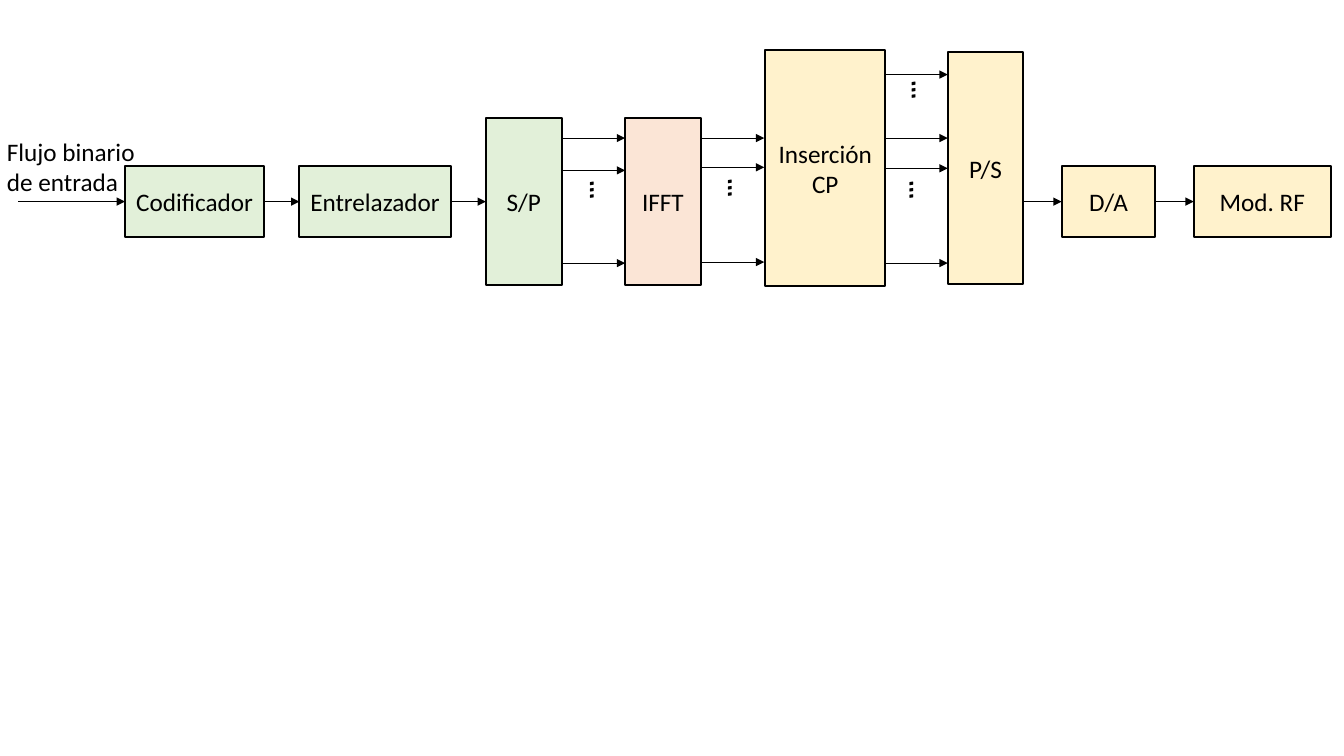
"""Draws the block diagram of an OFDM transmitter on one slide."""
from pptx import Presentation, util as u
from pptx.dml.color import RGBColor
from pptx.enum import dml, shapes, text
from pptx.oxml import parse_xml
from pptx.oxml.ns import nsdecls

COLORS = {"ink": "000000", "coding": "E2F0D9", "transform": "FBE5D6", "output": "FFF2CC"}
CELL = u.Inches(0.1)
AXIS, WIDE_AXIS = 20, 16.7
LEFT, RIGHT = 1, 3


def write(shape, words, size, bold=False):
    """Fill a shape with text in the diagram's font."""
    shape.text_frame.text = words
    for paragraph in shape.text_frame.paragraphs:
        for run in paragraph.runs:
            run.font.name, run.font.size, run.font.bold = "Calibri", u.Pt(size), bold
            run.font.color.rgb = RGBColor.from_string(COLORS["ink"])


def arrow(x1, y1, x2, y2):
    """Add a thin arrow between two grid points."""
    connector = slide.shapes.add_connector(
        shapes.MSO_CONNECTOR.STRAIGHT, *(int(n * CELL) for n in (x1, y1, x2, y2)))
    connector.line.width = u.Pt(0.5)
    connector.line.color.rgb = RGBColor.from_string(COLORS["ink"])
    connector.line.dash_style = dml.MSO_LINE.SOLID
    connector.line._get_or_add_ln().append(parse_xml(f'<a:tailEnd {nsdecls("a")} type="triangle"/>'))
    connector._element.spPr.append(parse_xml(f'<a:effectLst {nsdecls("a")}/>'))
    return connector


presentation = Presentation()
presentation.slide_width, presentation.slide_height = u.Inches(13.33), u.Inches(7.5)
slide = presentation.slides.add_slide(presentation.slide_layouts[6])

blocks = {}
for label, left, width, height, middle, color in [
    ("Codificador", 12.4, 13.8, 7, AXIS, "coding"),
    ("Entrelazador", 29.7, 15, 7, AXIS, "coding"),
    ("S/P", 48.2, 7.5, 16.6, AXIS, "coding"),
    ("IFFT", 62, 7.5, 16.6, AXIS, "transform"),
    ("Inserción CP", 75.9, 11.9, 23.4, WIDE_AXIS, "output"),
    ("P/S", 94, 7.5, 23, WIDE_AXIS, "output"),
    ("D/A", 105.3, 9.3, 7, AXIS, "output"),
    ("Mod. RF", 118.4, 13.6, 7, AXIS, "output"),
]:
    block = slide.shapes.add_shape(
        shapes.MSO_SHAPE.RECTANGLE,
        *(int(n * CELL) for n in (left, middle - height / 2, width, height)))
    block.shadow.inherit = False
    block.fill.solid()
    block.fill.fore_color.rgb = RGBColor.from_string(COLORS[color])
    block.line.color.rgb = RGBColor.from_string(COLORS["ink"])
    block.line.width = u.Pt(1.5)
    block.text_frame.word_wrap = True
    block.text_frame.vertical_anchor = text.MSO_ANCHOR.MIDDLE
    write(block, label, 18)
    block.text_frame.paragraphs[0].alignment = text.PP_ALIGN.CENTER
    blocks[label] = block

for source, target in [
    ("Codificador", "Entrelazador"), ("Entrelazador", "S/P"),
    ("Inserción CP", "P/S"), ("D/A", "Mod. RF"),
]:
    link = arrow(0, 0, 0, 0)
    link.begin_connect(blocks[source], RIGHT)
    link.end_connect(blocks[target], LEFT)

arrow(1.8, AXIS, 12.4, AXIS).end_connect(blocks["Codificador"], LEFT)
arrow(101.5, AXIS, 105.3, AXIS).end_connect(blocks["D/A"], LEFT)

for start, end, lanes in [
    (55.7, 62, (13.7, 16.9, 26.1)),
    (69.5, 75.8, (13.7, 16.6, 26)),
    (87.8, 94, (7.4, 13.7, 26.1)),
]:
    for lane in lanes:
        arrow(start, lane, end, lane)

for left, top in [(57.4, 16.5), (71.1, 16.3), (89.1, 16.5), (89.3, 6.6)]:
    dots = slide.shapes.add_textbox(*(int(n * CELL) for n in (left, top, 2.7, 4.5)))
    dots.text_frame.word_wrap = True
    write(dots, "፧", 20, bold=True)

caption = slide.shapes.add_textbox(*(int(n * CELL) for n in (-0.3, 13, 14.8, 7.1)))
caption.text_frame.word_wrap = False
write(caption, "Flujo binario\nde entrada", 18)

presentation.save("out.pptx")
